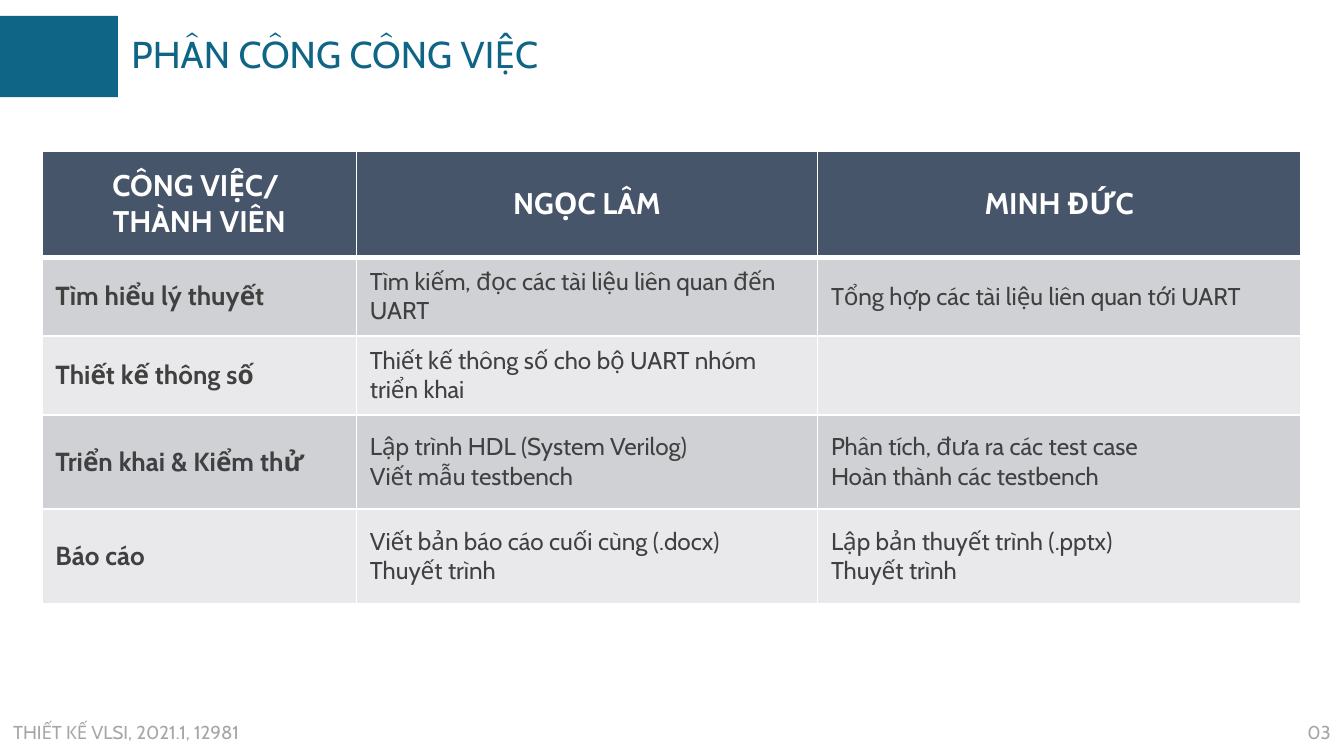
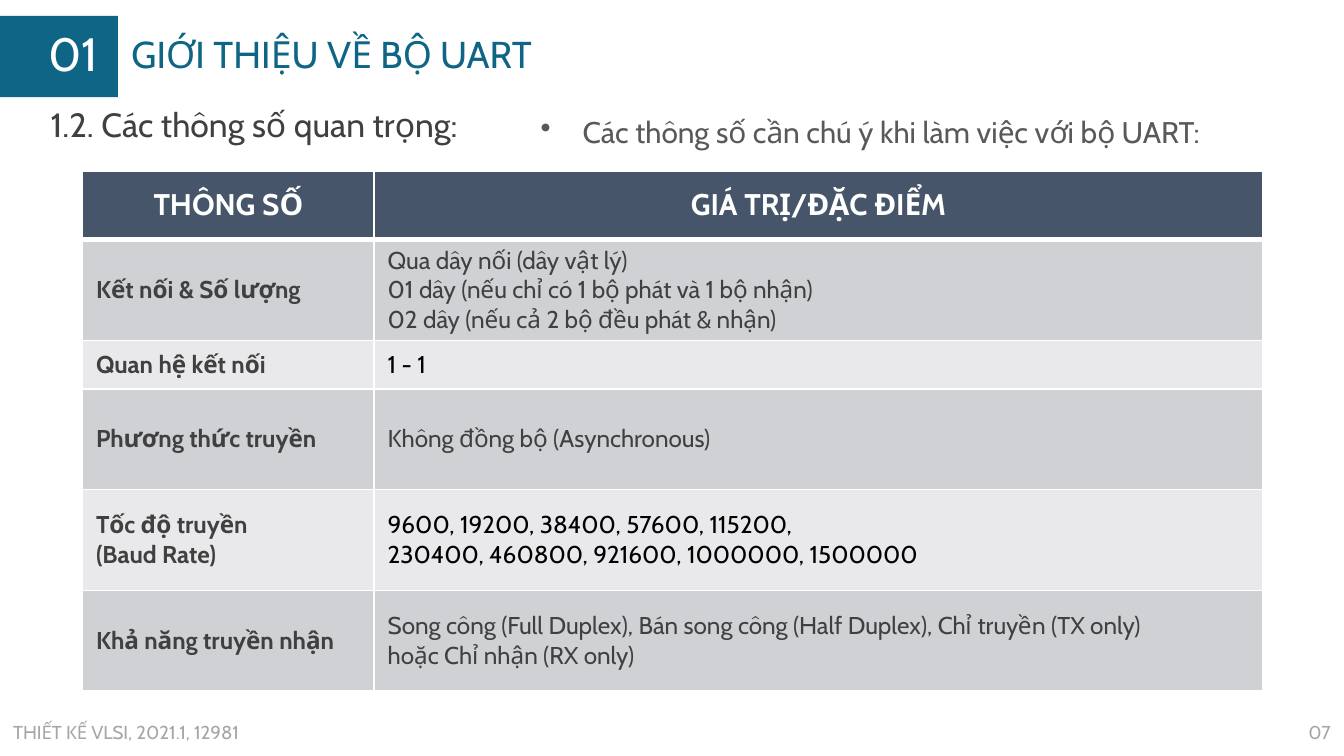
import lxml.etree
import pptx
import pptx.dml.color
import pptx.enum.shapes
import pptx.enum.text
import pptx.oxml.ns
import pptx.util

Pt = pptx.util.Pt
qn = pptx.oxml.ns.qn
ALIGN = pptx.enum.text.PP_ALIGN
ANCHOR = pptx.enum.text.MSO_ANCHOR

# Shared look
FONT = "Cabin"
TEAL, WHITE, BLACK = "0F6585", "FFFFFF", "000000"
DARK, MEDIUM, PALE = "404040", "595959", "A6A6A6"
HEADER_FILL = "46556A"
ROW_FILLS = ("CFD1D4", "E9E9EB")
TITLE_ONLY = 5
PAGE_WIDTH, PAGE_HEIGHT = 720, 405
BAND_TOP, BAND_WIDTH, BAND_HEIGHT = 8.5, 63.25, 43.5
FOOTER_TOP, FOOTER_WIDTH, FOOTER_HEIGHT = 382.5, 172.8, 19.5
FOOTER = "THIẾT KẾ VLSI, 2021.1, 12981"

# Slide contents
TASKS = [
    ["CÔNG VIỆC/ \nTHÀNH VIÊN", "NGỌC LÂM", "MINH ĐỨC"],
    ["Tìm hiểu lý thuyết", "Tìm kiếm, đọc các tài liệu liên quan đến UART",
     "Tổng hợp các tài liệu liên quan tới UART"],
    ["Thiết kế thông số", "Thiết kế thông số cho bộ UART nhóm triển khai", ""],
    ["Triển khai & Kiểm thử", "Lập trình HDL (System Verilog)\nViết mẫu testbench",
     "Phân tích, đưa ra các test case\nHoàn thành các testbench"],
    ["Báo cáo", "Viết bản báo cáo cuối cùng (.docx)\nThuyết trình",
     "Lập bản thuyết trình (.pptx)\nThuyết trình"],
]
PARAMETERS = [
    ["THÔNG SỐ", "GIÁ TRỊ/ĐẶC ĐIỂM"],
    ["Kết nối & Số lượng",
     "Qua dây nối (dây vật lý)\n01 dây (nếu chỉ có 1 bộ phát và 1 bộ nhận)\n"
     "02 dây (nếu cả 2 bộ đều phát & nhận)"],
    ["Quan hệ kết nối", "1 - 1"],
    ["Phương thức truyền", "Không đồng bộ (Asynchronous)"],
    ["Tốc độ truyền \n(Baud Rate)",
     "9600, 19200, 38400, 57600, 115200,\n230400, 460800, 921600, 1000000, 1500000"],
    ["Khả năng truyền nhận",
     "Song công (Full Duplex), Bán song công (Half Duplex), Chỉ truyền (TX only)\n"
     "hoặc Chỉ nhận (RX only)"],
]


def rgb(value):
    return pptx.dml.color.RGBColor.from_string(value)


def paint(target, color):
    target.fill.solid()
    target.fill.fore_color.rgb = rgb(color)


def add_bullet(para, indent):
    properties = para._p.get_or_add_pPr()
    properties.set("marL", str(Pt(indent)))
    properties.set("indent", str(-Pt(indent)))
    lxml.etree.SubElement(properties, qn("a:buChar")).set("char", "•")


def write(frame, text, size, color, bold=False, align=ALIGN.LEFT, spacing=None, bullet=0):
    """Fill a text frame with one paragraph; a newline is a line break."""
    para = frame.paragraphs[0]
    para.text = text
    para.alignment = align
    if spacing:
        para.line_spacing = spacing
    if bullet:
        add_bullet(para, bullet)
    para.font.name = FONT
    para.font.size = Pt(size)
    para.font.bold = bold
    para.font.color.rgb = rgb(color)


def add_text(page, left, top, width, height, text, size, color, anchor=ANCHOR.TOP, **style):
    box = page.shapes.add_textbox(Pt(left), Pt(top), Pt(width), Pt(height))
    box.text_frame.word_wrap = True
    box.text_frame.vertical_anchor = anchor
    write(box.text_frame, text, size, color, **style)


def add_page(deck, title, number):
    """Add a slide with its band, title and footers."""
    page = deck.slides.add_slide(deck.slide_layouts[TITLE_ONLY])
    paint(page.background, WHITE)

    band = page.shapes.add_shape(pptx.enum.shapes.MSO_SHAPE.RECTANGLE, 0, Pt(BAND_TOP),
                                 Pt(BAND_WIDTH), Pt(BAND_HEIGHT))
    band.shadow.inherit = False
    band.line.fill.background()
    paint(band, TEAL)

    heading = page.shapes.title
    heading.left, heading.top = Pt(BAND_WIDTH), Pt(BAND_TOP)
    heading.width, heading.height = Pt(502.5), Pt(BAND_HEIGHT)
    frame = heading.text_frame
    frame.auto_size = pptx.enum.text.MSO_AUTO_SIZE.NONE
    frame.vertical_anchor = ANCHOR.MIDDLE
    write(frame, title, 20, TEAL, spacing=0.9)

    for left, text, align in ((0, FOOTER, ALIGN.LEFT),
                              (PAGE_WIDTH - FOOTER_WIDTH, number, ALIGN.RIGHT)):
        add_text(page, left, FOOTER_TOP, FOOTER_WIDTH, FOOTER_HEIGHT, text, 10, PALE,
                 anchor=ANCHOR.MIDDLE, align=align)
    return page


def set_borders(cell, top, bottom):
    properties = cell._tc.get_or_add_tcPr()
    for side, width in (("L", 1), ("R", 1), ("T", top), ("B", bottom)):
        line = lxml.etree.SubElement(properties, qn("a:ln" + side), w=str(Pt(width)))
        fill = lxml.etree.SubElement(line, qn("a:solidFill"))
        lxml.etree.SubElement(fill, qn("a:srgbClr"), val=WHITE)


def add_table(page, left, top, widths, heights, rows, label_size, black_rows=()):
    """Add a table with a dark header, bold labels and two row tints."""
    table = page.shapes.add_table(len(rows), len(widths), Pt(left), Pt(top),
                                  Pt(sum(widths)), Pt(sum(heights))).table
    table.horz_banding = False
    for column, width in zip(table.columns, widths):
        column.width = Pt(width)
    for row, height in zip(table.rows, heights):
        row.height = Pt(height)

    for r, texts in enumerate(rows):
        for c, text in enumerate(texts):
            cell = table.cell(r, c)
            cell.vertical_anchor = ANCHOR.MIDDLE
            set_borders(cell, top=3 if r == 1 else 1, bottom=3 if r == 0 else 1)
            paint(cell, ROW_FILLS[(r - 1) % 2] if r else HEADER_FILL)
            if r == 0:
                write(cell.text_frame, text, 16, WHITE, bold=True, align=ALIGN.CENTER)
            elif c == 0:
                write(cell.text_frame, text, label_size, DARK, bold=True)
            else:
                write(cell.text_frame, text, 13, BLACK if r in black_rows else DARK)


def main():
    deck = pptx.Presentation()
    deck.slide_width, deck.slide_height = Pt(PAGE_WIDTH), Pt(PAGE_HEIGHT)

    # Division of work
    page = add_page(deck, "PHÂN CÔNG CÔNG VIỆC", "03")
    add_table(page, 22.5, 81, [168.5, 247, 259], [56.75, 42.25, 42.25, 50.5, 50.5],
              TASKS, label_size=14)

    # UART parameters
    page = add_page(deck, "GIỚI THIỆU VỀ BỘ UART", "07")
    add_text(page, 19, 14.5, 44, 31, "01", 25, WHITE, anchor=ANCHOR.MIDDLE, spacing=0.9)
    add_text(page, 20, 52, 262, 29, "1.2. Các thông số quan trọng:", 18, DARK)
    add_text(page, 282.5, 53.5, 437.5, 28, "Các thông số cần chú ý khi làm việc với bộ UART:",
             16, MEDIUM, spacing=1.2, bullet=22.5)
    add_table(page, 44.25, 91.5, [156.25, 476], [36.75, 54, 26, 54, 54, 54],
              PARAMETERS, label_size=13, black_rows=(2, 4))

    deck.save("out.pptx")


if __name__ == "__main__":
    main()
